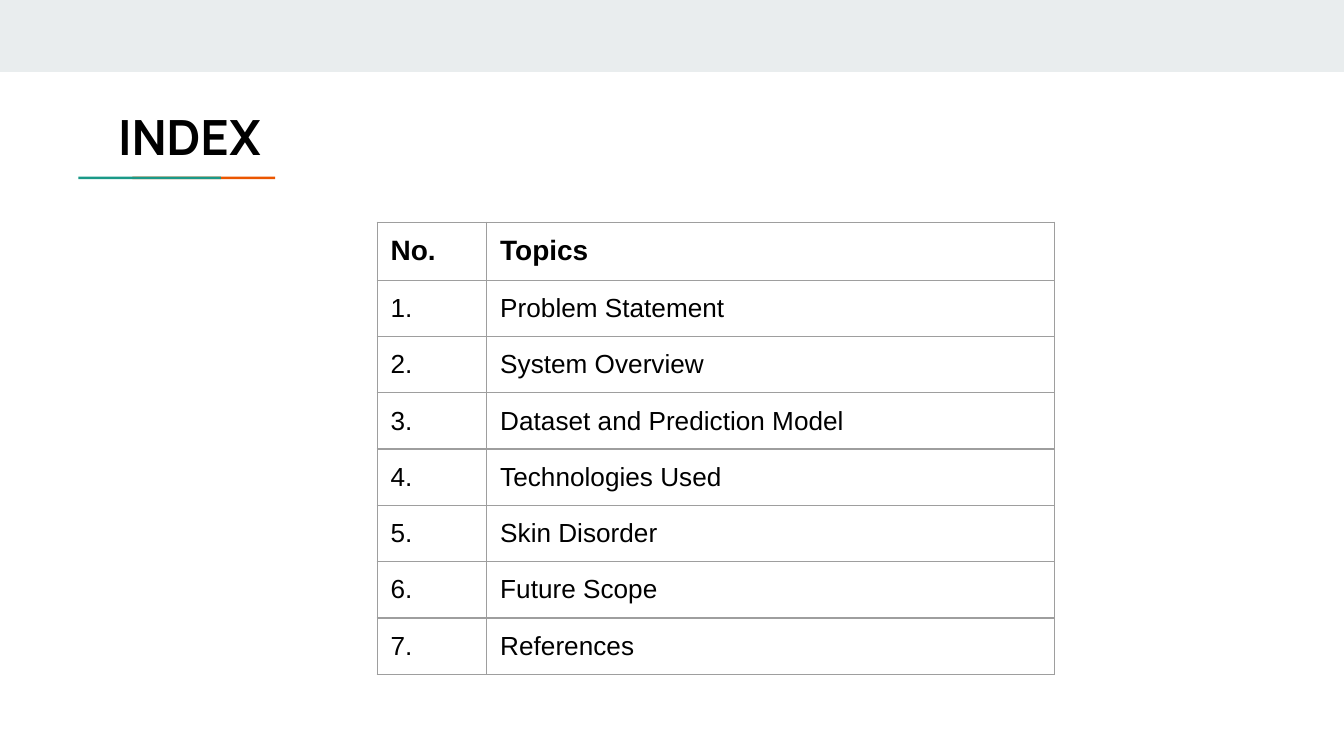
from pptx import Presentation
from pptx.dml.color import RGBColor
from pptx.enum.shapes import MSO_SHAPE
from pptx.enum.text import MSO_ANCHOR, MSO_AUTO_SIZE, PP_ALIGN
from pptx.oxml.ns import qn
from pptx.util import Cm, Pt
from lxml.etree import SubElement

COLORS = {"band": "E9EDEE", "teal": "1A9988", "orange": "EB5600",
          "text": "000000", "border": "9E9E9E"}
INSET = Cm(0.254)
MARGINS = {f"margin_{side}": INSET for side in ("left", "top", "right", "bottom")}
TOPICS = ["Problem Statement", "System Overview", "Dataset and Prediction Model",
          "Technologies Used", "Skin Disorder", "Future Scope", "References"]


def set_attrs(obj, values):
    for name, value in values.items():
        setattr(obj, name, value)


def write(p, text, **font):
    r = p.add_run()
    r.text = text
    set_attrs(r.font, font)
    r.font.color.rgb = RGBColor.from_string(COLORS["text"])


def add_bar(s, color, x, y, w, h):
    sp = s.shapes.add_shape(MSO_SHAPE.RECTANGLE, Cm(x), Cm(y), Cm(w), Cm(h))
    sp.fill.solid()
    sp.fill.fore_color.rgb = RGBColor.from_string(COLORS[color])
    sp.line.fill.background()
    sp.shadow.inherit = False


def add_underline(s, x, y, w, h):
    """Draw two equal bars, the teal one overlapping the orange one."""
    bar_w = 0.725 * w
    add_bar(s, "orange", x + w - bar_w, y, bar_w, h)
    add_bar(s, "teal", x, y, bar_w, h)


def place_title(s, text, x, y, w, h):
    sp = s.shapes.title
    set_attrs(sp, {"left": Cm(x), "top": Cm(y), "width": Cm(w), "height": Cm(h)})
    tf = sp.text_frame
    set_attrs(tf, {**MARGINS, "word_wrap": True, "auto_size": MSO_AUTO_SIZE.NONE,
                   "vertical_anchor": MSO_ANCHOR.TOP})
    p = tf.paragraphs[0]
    p.alignment = PP_ALIGN.LEFT
    write(p, text, name="Manrope", size=Pt(26), bold=True)


def set_borders(cell):
    tc_pr = cell._tc.get_or_add_tcPr()
    for i, side in enumerate(("lnL", "lnR", "lnT", "lnB")):
        ln = SubElement(tc_pr, qn(f"a:{side}"), w=str(Pt(0.75)))
        fill = SubElement(ln, qn("a:solidFill"))
        SubElement(fill, qn("a:srgbClr"), val=COLORS["border"])
        tc_pr.insert(i, ln)


def add_index_table(s, topics, x, y, w, h):
    rows = [("No.", "Topics")] + [(f"{n}.", t) for n, t in enumerate(topics, 1)]
    table = s.shapes.add_table(len(rows), 2, Cm(x), Cm(y), Cm(w), Cm(h)).table
    set_attrs(table, {"first_row": False, "horz_banding": False})
    number_w = 2.07
    for col, col_w in zip(table.columns, (number_w, w - number_w)):
        col.width = Cm(col_w)
    for i, row in enumerate(rows):
        for j, text in enumerate(row):
            cell = table.cell(i, j)
            set_attrs(cell, MARGINS)
            cell.fill.background()
            set_borders(cell)
            write(cell.text_frame.paragraphs[0], text, name="Arial",
                  size=Pt(14 if i else 15), bold=i == 0)


def main():
    prs = Presentation()
    set_attrs(prs, {"slide_width": Cm(25.4), "slide_height": Cm(14.29)})
    s = prs.slides.add_slide(prs.slide_layouts[5])
    add_bar(s, "band", 0, 0, 25.4, 1.36)
    add_underline(s, 1.48, 3.34, 3.72, 0.05)
    place_title(s, "INDEX", 1.98, 1.77, 5.44, 1.35)
    add_index_table(s, TOPICS, 7.13, 4.2, 12.8, 8)
    prs.save("out.pptx")


if __name__ == "__main__":
    main()
